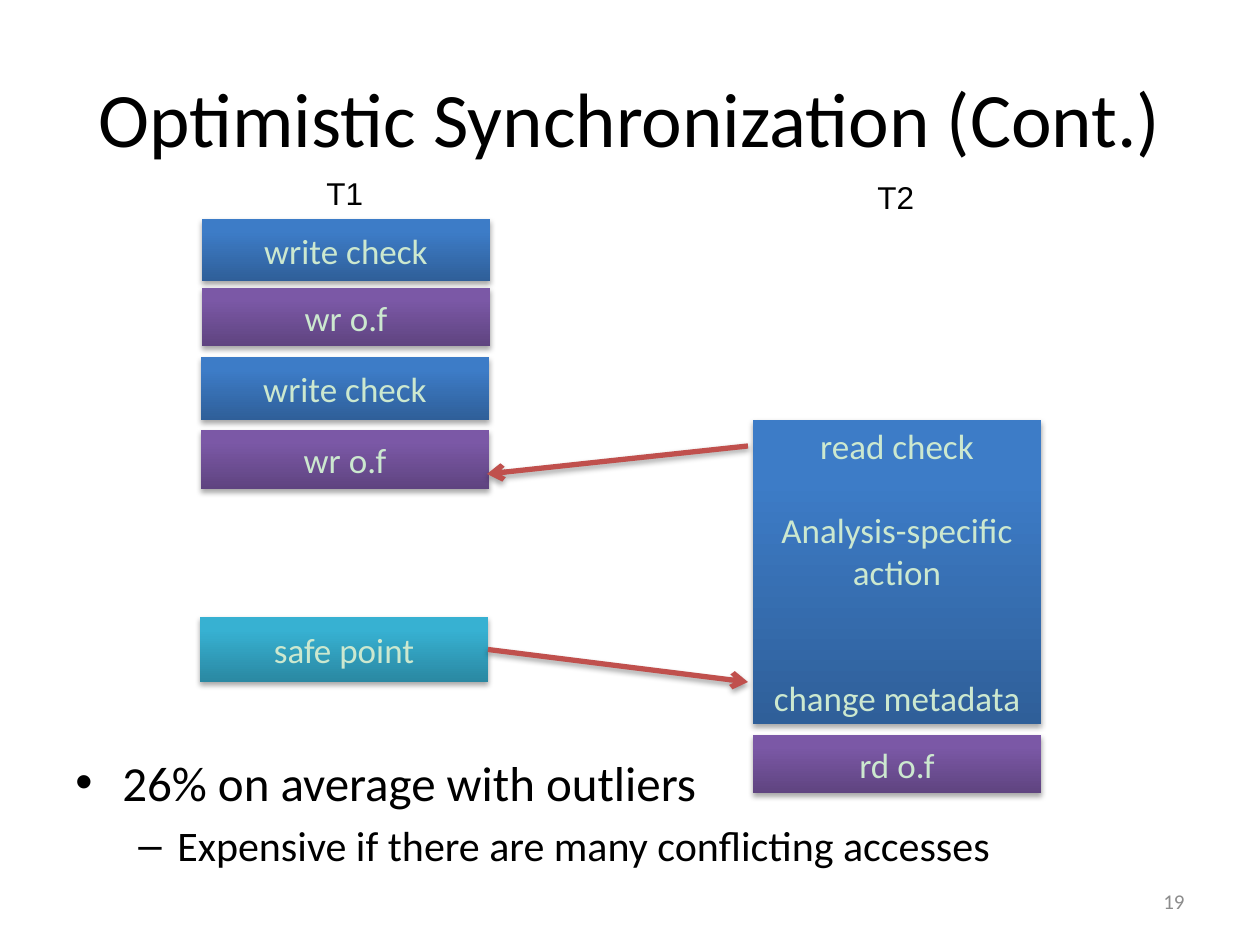
from lxml import etree
from pptx import Presentation
from pptx.dml.color import RGBColor
from pptx.enum.shapes import MSO_CONNECTOR, MSO_SHAPE
from pptx.enum.text import MSO_ANCHOR, PP_ALIGN
from pptx.oxml.ns import qn
from pptx.util import Pt

EMU_PER_PX = 914400 / 126
RECTANGLE, STRAIGHT = MSO_SHAPE.RECTANGLE, MSO_CONNECTOR.STRAIGHT
TOP, MIDDLE = MSO_ANCHOR.TOP, MSO_ANCHOR.MIDDLE
LEFT, CENTER, RIGHT = PP_ALIGN.LEFT, PP_ALIGN.CENTER, PP_ALIGN.RIGHT
RIGHT_SIDE = 3

BLACK = RGBColor(0x00, 0x00, 0x00)
WHITE = RGBColor(0xFF, 0xFF, 0xFF)
GRAY = RGBColor(0x8C, 0x8C, 0x8C)
PALE_GREEN = RGBColor(0xCC, 0xE8, 0xCF)
RED = RGBColor(0xC0, 0x50, 0x4D)
# Gradients run from the dark bottom to the light top
BLUE = (RGBColor(0x2F, 0x5F, 0x99), RGBColor(0x3D, 0x7C, 0xC7))
PURPLE = (RGBColor(0x5F, 0x44, 0x80), RGBColor(0x7B, 0x58, 0xA6))
TEAL = (RGBColor(0x2A, 0x88, 0xA2), RGBColor(0x37, 0xB1, 0xD2))


def px(value):
    return round(value * EMU_PER_PX)


class SlideBuilder:
    font = "Calibri"

    def __init__(self, slide):
        self.slide = slide

    def add_text(self, paragraph, text, size, color, font=None, **formats):
        run = paragraph.add_run()
        run.text = text
        run.font.color.rgb = color
        for name, value in {"name": font or self.font, "size": Pt(size)}.items():
            setattr(run.font, name, value)
        for name, value in formats.items():
            setattr(paragraph, name, value)

    def title(self, box, text):
        title = self.slide.shapes.title
        for name, value in zip(("left", "top", "width", "height"), box):
            setattr(title, name, px(value))
        title.text_frame.vertical_anchor = MIDDLE
        self.add_text(title.text_frame.paragraphs[0], text, 44, BLACK, alignment=CENTER)

    def text_box(self, box, wrap=True, anchor=TOP):
        frame = self.slide.shapes.add_textbox(*map(px, box)).text_frame
        for name, value in {"word_wrap": wrap, "vertical_anchor": anchor}.items():
            setattr(frame, name, value)
        return frame

    def label(self, box, text, size, color, font=None, wrap=True, anchor=TOP, align=LEFT):
        frame = self.text_box(box, wrap, anchor)
        self.add_text(frame.paragraphs[0], text, size, color, font, alignment=align)

    def bullets(self, box, items):
        frame = self.text_box(box)
        for index, (text, mark, size, margin, hanging) in enumerate(items):
            paragraph = frame.add_paragraph() if index else frame.paragraphs[0]
            self.add_text(paragraph, text, size, BLACK, level=index,
                          space_before=Pt(size * 0.2))
            properties = paragraph._p.get_or_add_pPr()
            properties.set("marL", str(px(margin)))
            properties.set("indent", str(-px(hanging)))
            etree.SubElement(properties, qn("a:buFont"), typeface="Arial")
            etree.SubElement(properties, qn("a:buChar"), char=mark)

    def add_shadow(self, effects):
        shadow = etree.SubElement(effects, qn("a:outerShdw"), blurRad="40000",
                                  dist="23000", dir="5400000", rotWithShape="0")
        color = etree.SubElement(shadow, qn("a:srgbClr"), val="000000")
        etree.SubElement(color, qn("a:alpha"), val="35000")

    def step(self, box, lines, gradient):
        """Draw a shaded box; lines holds (text, points of space before)."""
        shape = self.slide.shapes.add_shape(RECTANGLE, *map(px, box))
        shape.fill.gradient()
        shape.fill.gradient_angle = 90
        for stop, color, position in zip(shape.fill.gradient_stops, gradient, (0, 0.8)):
            stop.color.rgb = color
            stop.position = position
        shape.line.fill.background()
        shape.shadow.inherit = False
        self.add_shadow(shape._element.spPr.find(qn("a:effectLst")))
        frame = shape.text_frame
        frame.vertical_anchor = MIDDLE
        for index, (text, space) in enumerate(lines):
            paragraph = frame.add_paragraph() if index else frame.paragraphs[0]
            self.add_text(paragraph, text, 20, PALE_GREEN, alignment=CENTER,
                          space_before=Pt(space))
        return shape

    def arrow(self, start, end, source=None):
        connector = self.slide.shapes.add_connector(STRAIGHT, *map(px, start + end))
        if source is not None:
            connector.begin_connect(source, RIGHT_SIDE)
        connector.line.color.rgb = RED
        connector.line.width = Pt(3)
        etree.SubElement(connector.line._get_or_add_ln(), qn("a:tailEnd"), type="arrow")
        self.add_shadow(etree.SubElement(connector._element.spPr, qn("a:effectLst")))


def main():
    presentation = Presentation()
    presentation.slide_width, presentation.slide_height = px(1260), px(945)
    slide = presentation.slides.add_slide(presentation.slide_layouts[5])
    slide.background.fill.solid()
    slide.background.fill.fore_color.rgb = WHITE
    builder = SlideBuilder(slide)
    builder.title((63, 38, 1134, 157), "Optimistic Synchronization (Cont.)")

    # Thread names
    for name, left, top in (("T1", 314, 168), ("T2", 865, 172)):
        builder.label((left, top, 63, 50), name, 18, BLACK, font="Arial", wrap=False)

    # Steps of the first thread
    for text, left, top, height, gradient in (
        ("write check", 202, 219, 62, BLUE),
        ("wr o.f", 202, 288, 58, PURPLE),
        ("write check", 201, 357, 63, BLUE),
        ("wr o.f", 201, 430, 59, PURPLE),
    ):
        builder.step((left, top, 288, height), [(text, 0)], gradient)
    safe_point = builder.step((200, 617, 288, 65), [("safe point", 0)], TEAL)

    # Steps of the second thread
    builder.step((753, 420, 288, 304), [("read check", 0), ("Analysis-specific action", 24),
                                        ("change metadata", 48)], BLUE)
    builder.step((753, 735, 288, 58), [("rd o.f", 0)], PURPLE)

    # Request and response
    builder.arrow((748, 446), (487, 474))
    builder.arrow((488, 650), (748, 682), source=safe_point)

    # Conclusions and slide number
    builder.bullets((63, 746, 1134, 146), (
        ("26% on average with outliers", "•", 28, 47, 47),
        ("Expensive if there are many conflicting accesses", "–", 24, 102, 39),
    ))
    builder.label((903, 876, 294, 50), "19", 12, GRAY, anchor=MIDDLE, align=RIGHT)

    presentation.save("out.pptx")


if __name__ == "__main__":
    main()
